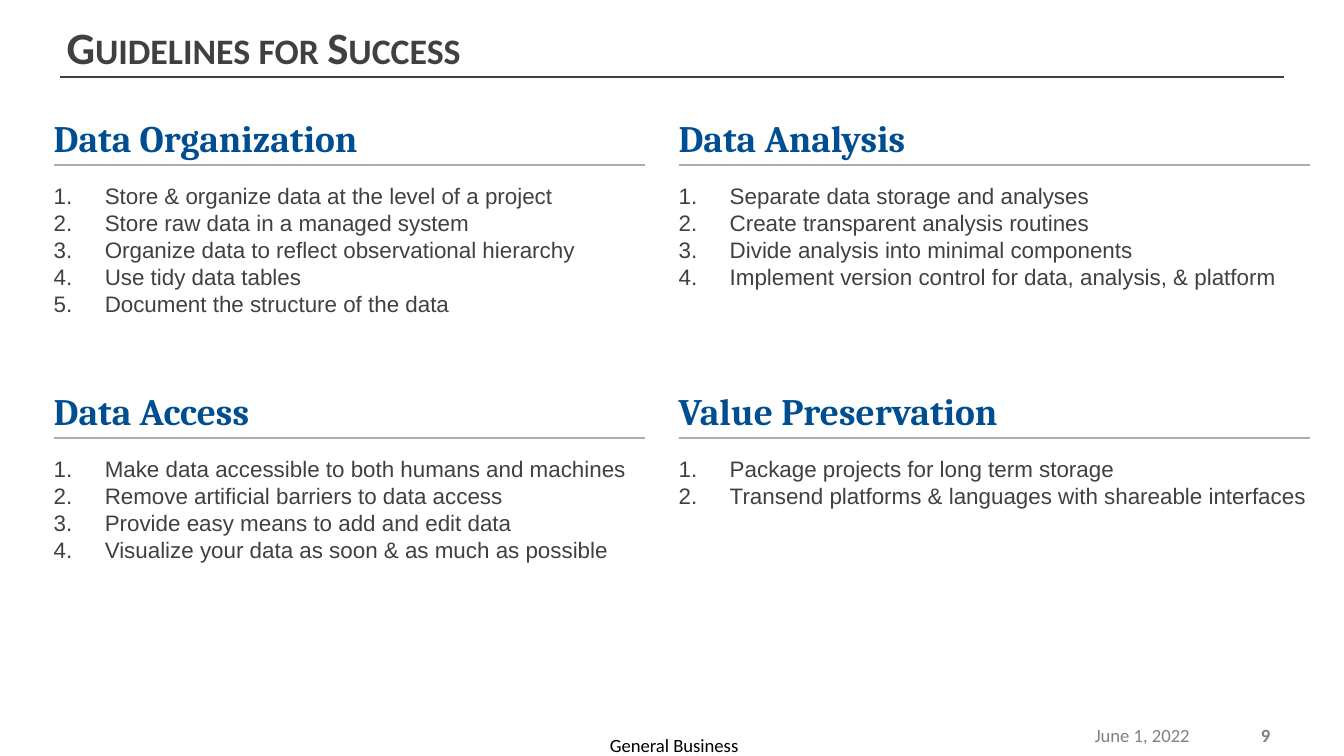
from lxml.etree import SubElement
from pptx import Presentation
from pptx.dml.color import RGBColor
from pptx.enum.shapes import MSO_CONNECTOR
from pptx.enum.text import MSO_ANCHOR, MSO_AUTO_SIZE, PP_ALIGN
from pptx.oxml.ns import qn
from pptx.util import Inches, Pt

WIDTH = Inches(10)
HEIGHT = WIDTH * 9 // 16
COLUMN, ROW = WIDTH / 100, HEIGHT / 100
INSET, INDENT = Inches(0.05), Inches(0.38)

BLUE = RGBColor(0x00, 0x4E, 0x92)
DARK = RGBColor(0x40, 0x40, 0x40)
GREY = RGBColor(0x80, 0x80, 0x80)
RULE = RGBColor(0xAF, 0xAB, 0xAB)
BLACK = RGBColor(0x00, 0x00, 0x00)

TITLE = dict(name="Calibri", size=Pt(24), bold=True, color=DARK)
HEADING = dict(name="Cambria", size=Pt(20), bold=True, color=BLUE)
ITEM = dict(name="Arial", size=Pt(12), bold=False, color=DARK)
LABEL = dict(name="Calibri", size=Pt(10), bold=False, color=BLACK)
DATE = {**LABEL, "color": GREY}
NUMBER = {**DATE, "bold": True}

LEFT, RIGHT = 3.5, 50
TOP, BOTTOM = 14.4, 50.5
GUIDELINES = [
    (LEFT, TOP, 44, "Data Organization", [
        "Store & organize data at the level of a project",
        "Store raw data in a managed system",
        "Organize data to reflect observational hierarchy",
        "Use tidy data tables",
        "Document the structure of the data"]),
    (LEFT, BOTTOM, 44, "Data Access", [
        "Make data accessible to both humans and machines",
        "Remove artificial barriers to data access",
        "Provide easy means to add and edit data",
        "Visualize your data as soon & as much as possible"]),
    (RIGHT, TOP, 47, "Data Analysis", [
        "Separate data storage and analyses",
        "Create transparent analysis routines",
        "Divide analysis into minimal components",
        "Implement version control for data, analysis, & platform"]),
    (RIGHT, BOTTOM, 47, "Value Preservation", [
        "Package projects for long term storage",
        "Transend platforms & languages with shareable interfaces"]),
]


def place(left, top, width, height):
    """Turn grid columns and rows into slide lengths."""
    return (round(left * COLUMN), round(top * ROW),
            round(width * COLUMN), round(height * ROW))


def write(paragraph, text, style):
    """Add a run in the given style and return it."""
    run = paragraph.add_run()
    run.text = text
    for key, value in style.items():
        if key == "color":
            run.font.color.rgb = value
        else:
            setattr(run.font, key, value)
    return run


def format_frame(frame, inset=INSET, **settings):
    """Set equal insets and further settings on a text frame."""
    margins = {f"margin_{side}": inset for side in ("left", "top", "right", "bottom")}
    for key, value in {**margins, **settings}.items():
        setattr(frame, key, value)


def add_rule(slide, left, top, width, color, weight):
    """Draw a horizontal rule across the given columns."""
    x, y, length, _ = place(left, top, width, 0)
    rule = slide.shapes.add_connector(MSO_CONNECTOR.STRAIGHT, x, y, x + length, y)
    rule.line.color.rgb = color
    rule.line.width = Pt(weight)
    SubElement(rule._element.spPr, qn("a:effectLst"))


def add_title(slide, text, box):
    """Fill the title placeholder and underline it."""
    title = slide.shapes.title
    title.left, title.top, title.width, title.height = place(*box)
    format_frame(title.text_frame, vertical_anchor=MSO_ANCHOR.MIDDLE,
                 auto_size=MSO_AUTO_SIZE.NONE, word_wrap=True)
    paragraph = title.text_frame.paragraphs[0]
    paragraph.alignment = PP_ALIGN.LEFT
    run = write(paragraph, text, TITLE)
    run.font._element.set("cap", "small")
    left, top, width, height = box
    add_rule(slide, left, top + height, width, DARK, 0.75)


def number_item(paragraph):
    """Give a paragraph a hanging automatic number."""
    properties = paragraph._p.get_or_add_pPr()
    properties.set("marL", str(INDENT))
    properties.set("indent", str(-INDENT))
    SubElement(properties, qn("a:buFont"), typeface="+mj-lt")
    SubElement(properties, qn("a:buAutoNum"), type="arabicPeriod")


def add_guideline(slide, left, top, rule_width, heading, items):
    """Add a ruled heading with its numbered list."""
    box = place(left, top, rule_width + 1, 28.6)
    frame = slide.shapes.add_textbox(*box).text_frame
    format_frame(frame, word_wrap=True)
    write(frame.paragraphs[0], heading, HEADING)
    for index, item in enumerate(items):
        paragraph = frame.add_paragraph()
        number_item(paragraph)
        if index == 0:
            paragraph.space_before = Pt(12)
        write(paragraph, item, ITEM)
    add_rule(slide, left + 0.5, top + 7.45, rule_width, RULE, 1)


def add_label(slide, text, box, style, alignment, anchor, inset):
    """Add one line of footer text."""
    frame = slide.shapes.add_textbox(*place(*box)).text_frame
    format_frame(frame, inset, word_wrap=True, vertical_anchor=anchor)
    frame.paragraphs[0].alignment = alignment
    write(frame.paragraphs[0], text, style)


def add_footer(slide, top):
    """Add the classification, date and slide number."""
    add_label(slide, "General Business", (45.2, top + 2.45, 9.9, 3), LABEL,
              PP_ALIGN.CENTER, MSO_ANCHOR.TOP, 0)
    for text, left, width, style in (("June 1, 2022", 64.1, 25.4, DATE),
                                     ("9", 90.4, 5.1, NUMBER)):
        add_label(slide, text, (left, top, width, 5.35), style,
                  PP_ALIGN.RIGHT, MSO_ANCHOR.MIDDLE, Inches(0.1))


def main():
    """Build and save the slide."""
    deck = Presentation()
    deck.slide_width, deck.slide_height = WIDTH, HEIGHT
    slide = deck.slides.add_slide(deck.slide_layouts[5])
    add_title(slide, "Guidelines for Success", (4.45, 2, 91.1, 8.2))
    for guideline in GUIDELINES:
        add_guideline(slide, *guideline)
    add_footer(slide, 94.6)
    deck.save("out.pptx")


if __name__ == "__main__":
    main()
